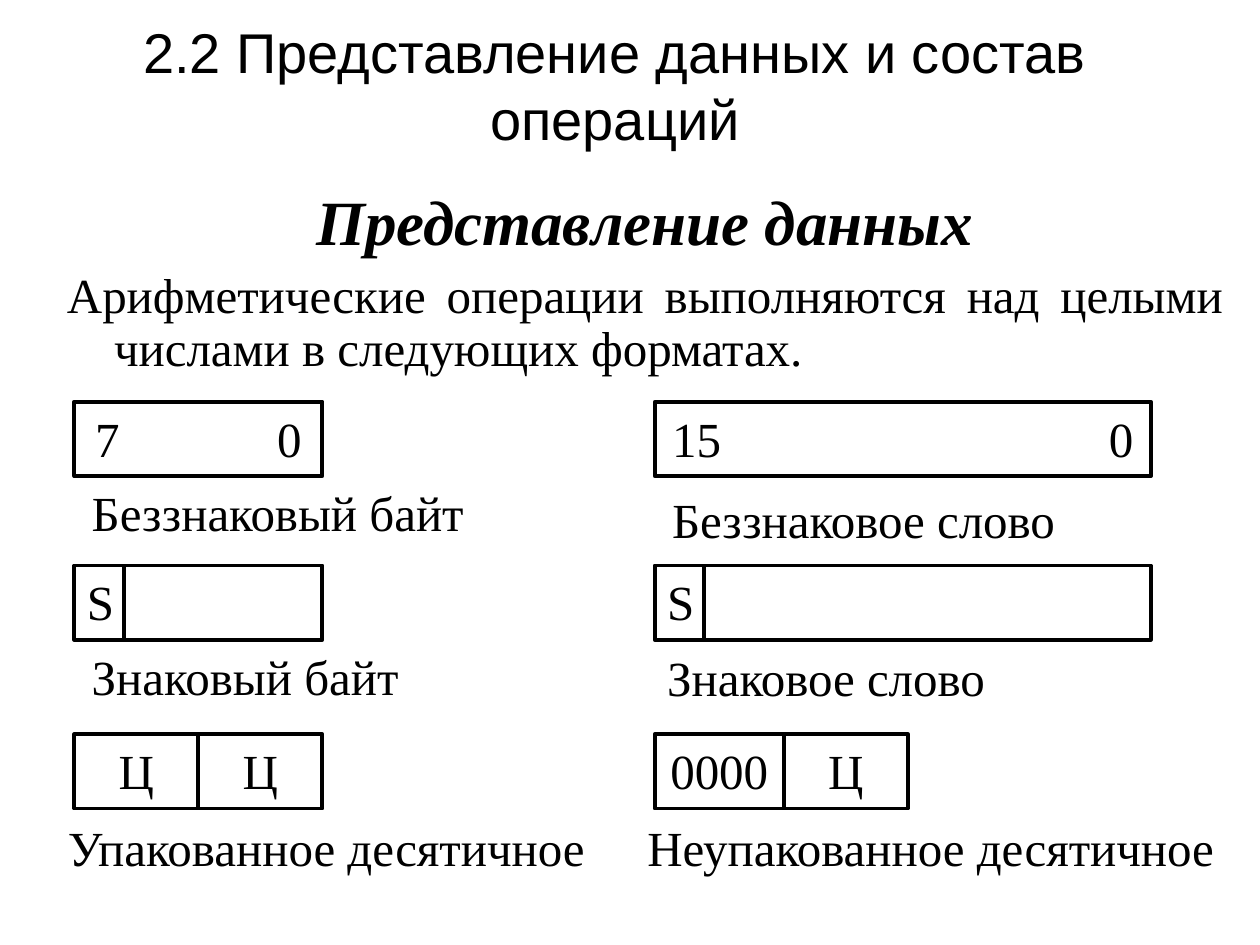
from dataclasses import dataclass

from pptx import Presentation
from pptx.dml.color import RGBColor
from pptx.enum.shapes import MSO_SHAPE
from pptx.enum.text import MSO_ANCHOR, PP_ALIGN
from pptx.oxml import parse_xml
from pptx.util import Cm, Pt

RECTANGLE = MSO_SHAPE.RECTANGLE
TOP, MIDDLE = MSO_ANCHOR.TOP, MSO_ANCHOR.MIDDLE
LEFT, CENTER, JUSTIFY = PP_ALIGN.LEFT, PP_ALIGN.CENTER, PP_ALIGN.JUSTIFY
DRAWING_NS = "http://schemas.openxmlformats.org/drawingml/2006/main"


@dataclass(frozen=True)
class Theme:
    ink: RGBColor = RGBColor(0, 0, 0)
    title_font: str = "Arial"
    body_font: str = "Times New Roman"
    title_size: int = 32
    heading_size: int = 36
    body_size: int = 28
    line_width: float = 2.25


class SlideBuilder:
    def __init__(self, slide, theme):
        self.slide = slide
        self.theme = theme

    def fill_text(self, shape, text, size=None, font=None, align=LEFT, anchor=TOP,
                  spacing=None, strong=False):
        """Fill a shape with one paragraph and return that paragraph."""
        frame = shape.text_frame
        frame.word_wrap = True
        frame.vertical_anchor = anchor
        frame.margin_left = frame.margin_right = Cm(0.25)
        frame.margin_top = frame.margin_bottom = Cm(0.13)
        paragraph = frame.paragraphs[0]
        paragraph.alignment = align
        if spacing:
            paragraph.line_spacing = spacing
        run = paragraph.add_run()
        run.text = text
        run.font.name = font or self.theme.body_font
        run.font.size = Pt(size or self.theme.body_size)
        run.font.color.rgb = self.theme.ink
        run.font.bold = run.font.italic = strong
        return paragraph

    def text(self, left, top, width, height, text, **style):
        box = self.slide.shapes.add_textbox(Cm(left), Cm(top), Cm(width), Cm(height))
        return self.fill_text(box, text, **style)

    def hanging_text(self, left, top, width, height, text, indent, **style):
        paragraph = self.text(left, top, width, height, text, **style)
        properties = paragraph._p.get_or_add_pPr()
        properties.set("marL", str(Cm(indent)))
        properties.set("indent", str(-Cm(indent)))

    def cell(self, left, top, width, height, text=""):
        shape = self.slide.shapes.add_shape(
            RECTANGLE, Cm(left), Cm(top), Cm(width), Cm(height))
        shape.shadow.inherit = False
        shape.fill.background()
        shape.line.color.rgb = self.theme.ink
        shape.line.width = Pt(self.theme.line_width)
        if text:
            self.fill_text(shape, text, align=CENTER)
        return shape

    def bit_range(self, left, top, width, height, high_bit, inset):
        """A field with its highest bit at the left and bit 0 at the right."""
        shape = self.cell(left, top, width, height)
        paragraph = self.fill_text(shape, f"{high_bit}\t0")
        shape.text_frame.margin_left = Cm(inset)
        shape.text_frame.margin_right = Cm(0.1)
        paragraph._p.get_or_add_pPr().append(parse_xml(
            f'<a:tabLst xmlns:a="{DRAWING_NS}">'
            f'<a:tab pos="{Cm(width - 2 * inset)}" algn="r"/></a:tabLst>'))

    def cell_row(self, left, top, height, cells):
        for width, text in cells:
            self.cell(left, top, width, height, text)
            left += width


def main():
    presentation = Presentation()
    presentation.slide_width, presentation.slide_height = Cm(25.4), Cm(19.05)
    slide = presentation.slides.add_slide(presentation.slide_layouts[6])
    theme = Theme()
    builder = SlideBuilder(slide, theme)

    # Title, heading and introduction
    builder.text(0.3, 0.33, 24.2, 2.75, "2.2 Представление данных и состав операций",
                 size=theme.title_size, font=theme.title_font,
                 align=CENTER, anchor=MIDDLE)
    builder.text(1.1, 3.73, 23.8, 2, "Представление данных", size=theme.heading_size,
                 align=CENTER, spacing=0.9, strong=True)
    builder.hanging_text(
        1.1, 5.33, 23.8, 2.5,
        "Арифметические операции выполняются над целыми числами в следующих форматах.",
        indent=0.95, align=JUSTIFY, spacing=0.9)

    # Grid of number formats
    byte_left, word_left = 1.5, 13.2
    byte_width, word_width = 5, 10
    unsigned_top, signed_top, decimal_top = 8.1, 11.4, 14.8
    height, sign_width, digit_width = 1.5, 1, 2.5

    # Unsigned formats
    builder.bit_range(byte_left, unsigned_top, byte_width, height, 7, 0.42)
    builder.bit_range(word_left, unsigned_top, word_width, height, 15, 0.35)

    # Signed formats
    for left, width in ((byte_left, byte_width), (word_left, word_width)):
        builder.cell_row(left, signed_top, height,
                         [(sign_width, "S"), (width - sign_width, "")])

    # Decimal formats
    builder.cell_row(byte_left, decimal_top, height, [(digit_width, "Ц")] * 2)
    builder.cell_row(word_left, decimal_top, height,
                     [(2.6, "0000"), (digit_width, "Ц")])

    # Captions
    captions = (
        (1.6, 9.6, 10.8, "Беззнаковый байт"),
        (13.3, 9.73, 10.8, "Беззнаковое слово"),
        (1.6, 12.9, 10.8, "Знаковый байт"),
        (13.2, 12.93, 10.8, "Знаковое слово"),
        (1.12, 16.36, 11.3, "Упакованное десятичное"),
        (12.8, 16.36, 12.2, "Неупакованное десятичное"),
    )
    for left, top, width, caption in captions:
        builder.text(left, top, width, 1.37, caption)

    presentation.save("out.pptx")


if __name__ == "__main__":
    main()
